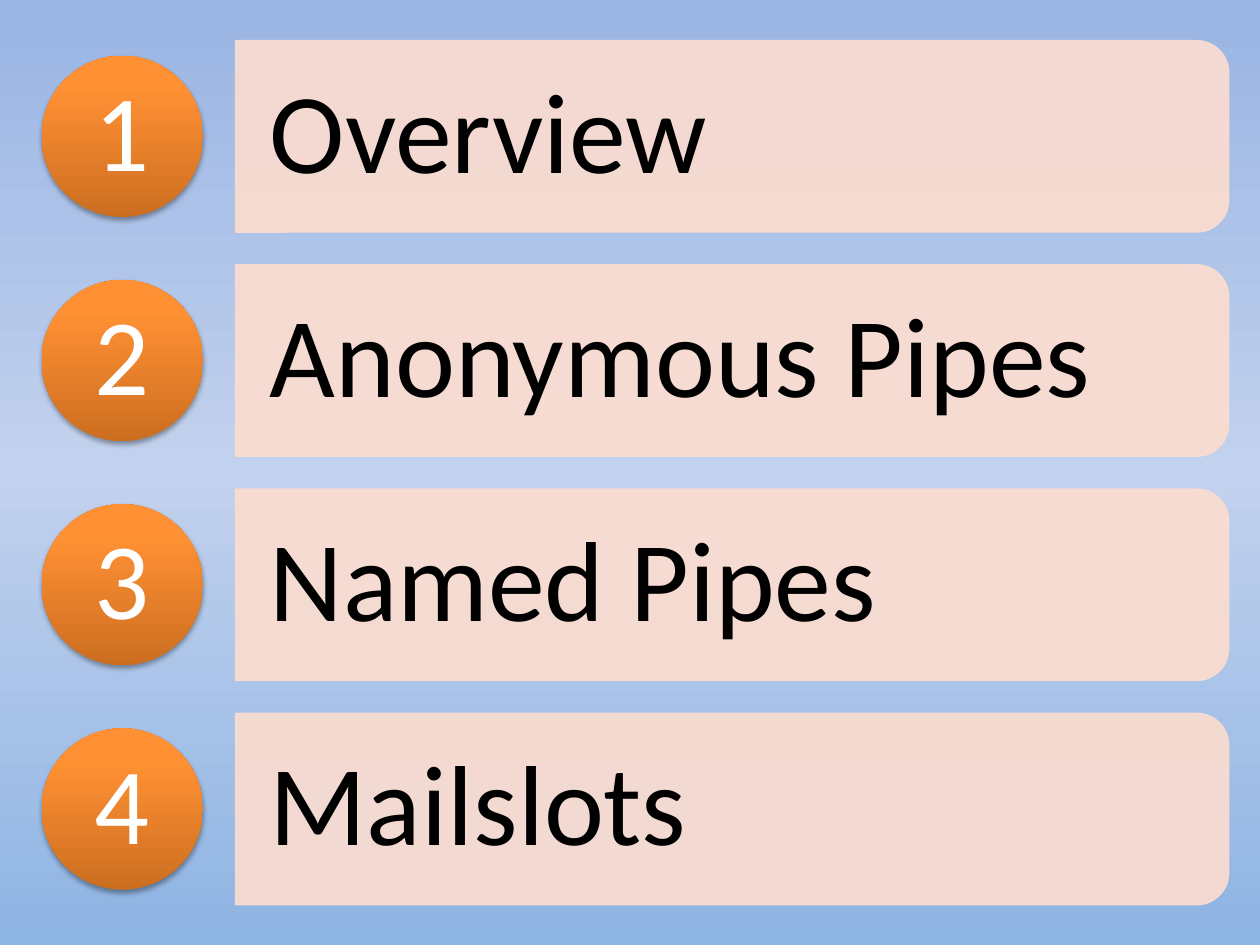
import dataclasses

import lxml.etree
import pptx
import pptx.dml.color
import pptx.enum.shapes
import pptx.enum.text
import pptx.oxml.ns
import pptx.util

Cm, Pt = pptx.util.Cm, pptx.util.Pt
qn = pptx.oxml.ns.qn
SHAPE = pptx.enum.shapes.MSO_SHAPE
ALIGN = pptx.enum.text.PP_ALIGN

COLORS = {
    "bar": "FCDDCF", "label": "000000", "number": "FFFFFF", "shadow": "000000",
    "sky_top": "9AB5E4", "sky_mid": "C2D1ED", "sky_bottom": "8EB4E3",
    "disc_dark": "CC6E20", "disc_mid": "FF9034", "disc_light": "FF9136",
}
FONT = "Calibri"

# Layout in centimetres
FIRST_CENTER, PITCH = 2.75, 4.52
BAR_LEFT, BAR_LENGTH, BAR_HEIGHT = 4.75, 20.02, 3.86
LABEL_WIDTH, LABEL_HEIGHT = 19.84, 3.48
DISC_LEFT, DISC_SIZE, NUMBER_SIZE = 0.84, 3.25, 2.29


@dataclasses.dataclass
class AgendaItem:
    number: int
    label: str

    @property
    def center(self) -> float:
        return FIRST_CENTER + (self.number - 1) * PITCH


def rgb(name: str) -> pptx.dml.color.RGBColor:
    return pptx.dml.color.RGBColor.from_string(COLORS[name])


def add_xml(parent, tag: str, **attrs):
    values = {key: str(value) for key, value in attrs.items()}
    return lxml.etree.SubElement(parent, qn(tag), values)


def set_gradient(props, stops: list, angle: int) -> None:
    """Replace the solid fill in props by a linear gradient."""
    solid = props.find(qn("a:solidFill"))
    grad = add_xml(props, "a:gradFill", rotWithShape=1)
    stop_list = add_xml(grad, "a:gsLst")
    for pos, name in stops:
        stop = add_xml(stop_list, "a:gs", pos=pos * 1000)
        add_xml(stop, "a:srgbClr", val=COLORS[name])
    add_xml(grad, "a:lin", ang=angle * 60000, scaled=0)
    props.replace(solid, grad)


def add_text(s, text: str, left: float, center: float, width: float, height: float,
             *, size: int, color: str, align=ALIGN.LEFT, inset=(0, 0)) -> None:
    box = s.shapes.add_textbox(Cm(left), Cm(center - height / 2), Cm(width), Cm(height))
    tf = box.text_frame
    tf.word_wrap = True
    tf.vertical_anchor = pptx.enum.text.MSO_ANCHOR.MIDDLE
    tf.margin_left = tf.margin_right = Cm(inset[0])
    tf.margin_top = tf.margin_bottom = Cm(inset[1])
    p = tf.paragraphs[0]
    p.alignment = align
    p.line_spacing = 0.9
    p.space_after = Pt(0.35 * size)
    r = p.add_run()
    r.text = text
    r.font.name, r.font.size = FONT, Pt(size)
    r.font.color.rgb = rgb(color)


def add_bar(s, item: AgendaItem) -> None:
    # Upright shape turned by 90 degrees about its centre
    mid = BAR_LEFT + BAR_LENGTH / 2
    sp = s.shapes.add_shape(SHAPE.ROUND_2_SAME_RECTANGLE,
                            Cm(mid - BAR_HEIGHT / 2), Cm(item.center - BAR_LENGTH / 2),
                            Cm(BAR_HEIGHT), Cm(BAR_LENGTH))
    sp.rotation = 90
    sp.shadow.inherit = False
    sp.fill.solid()
    sp.line.width = Pt(0.75)
    sp.line.fill.solid()
    for fill in (sp.fill, sp.line.fill):
        fill.fore_color.rgb = rgb("bar")
    for clr in sp.element.spPr.iter(qn("a:srgbClr")):
        add_xml(clr, "a:alpha", val=90000)


def add_disc(s, item: AgendaItem) -> None:
    sp = s.shapes.add_shape(SHAPE.OVAL, Cm(DISC_LEFT), Cm(item.center - DISC_SIZE / 2),
                            Cm(DISC_SIZE), Cm(DISC_SIZE))
    sp.fill.solid()
    sp.line.fill.background()
    sp.shadow.inherit = False
    props = sp.element.spPr
    set_gradient(props, [(0, "disc_dark"), (80, "disc_mid"), (100, "disc_light")], 270)
    shadow = add_xml(props.find(qn("a:effectLst")), "a:outerShdw", blurRad=Pt(3.1),
                     dist=Pt(1.8), dir=90 * 60000, rotWithShape=0)
    clr = add_xml(shadow, "a:srgbClr", val=COLORS["shadow"])
    add_xml(clr, "a:alpha", val=35000)


def add_item(s, item: AgendaItem) -> None:
    add_bar(s, item)
    add_text(s, item.label, BAR_LEFT, item.center, LABEL_WIDTH, LABEL_HEIGHT,
             size=65, color="label", inset=(0.69, 0.46))
    add_disc(s, item)
    add_text(s, str(item.number), DISC_LEFT + (DISC_SIZE - NUMBER_SIZE) / 2, item.center,
             NUMBER_SIZE, NUMBER_SIZE, size=62, color="number", align=ALIGN.CENTER)


def main() -> None:
    prs = pptx.Presentation()
    prs.slide_width, prs.slide_height = Cm(25.4), Cm(19.05)
    s = prs.slides.add_slide(prs.slide_layouts.get_by_name("Blank"))

    # Background
    s.background.fill.solid()
    set_gradient(s.element.find(".//" + qn("p:bgPr")),
                 [(0, "sky_top"), (50, "sky_mid"), (100, "sky_bottom")], 90)

    # Agenda rows
    labels = ["Overview", "Anonymous Pipes", "Named Pipes", "Mailslots"]
    for number, label in enumerate(labels, start=1):
        add_item(s, AgendaItem(number, label))

    prs.save("out.pptx")


if __name__ == "__main__":
    main()
